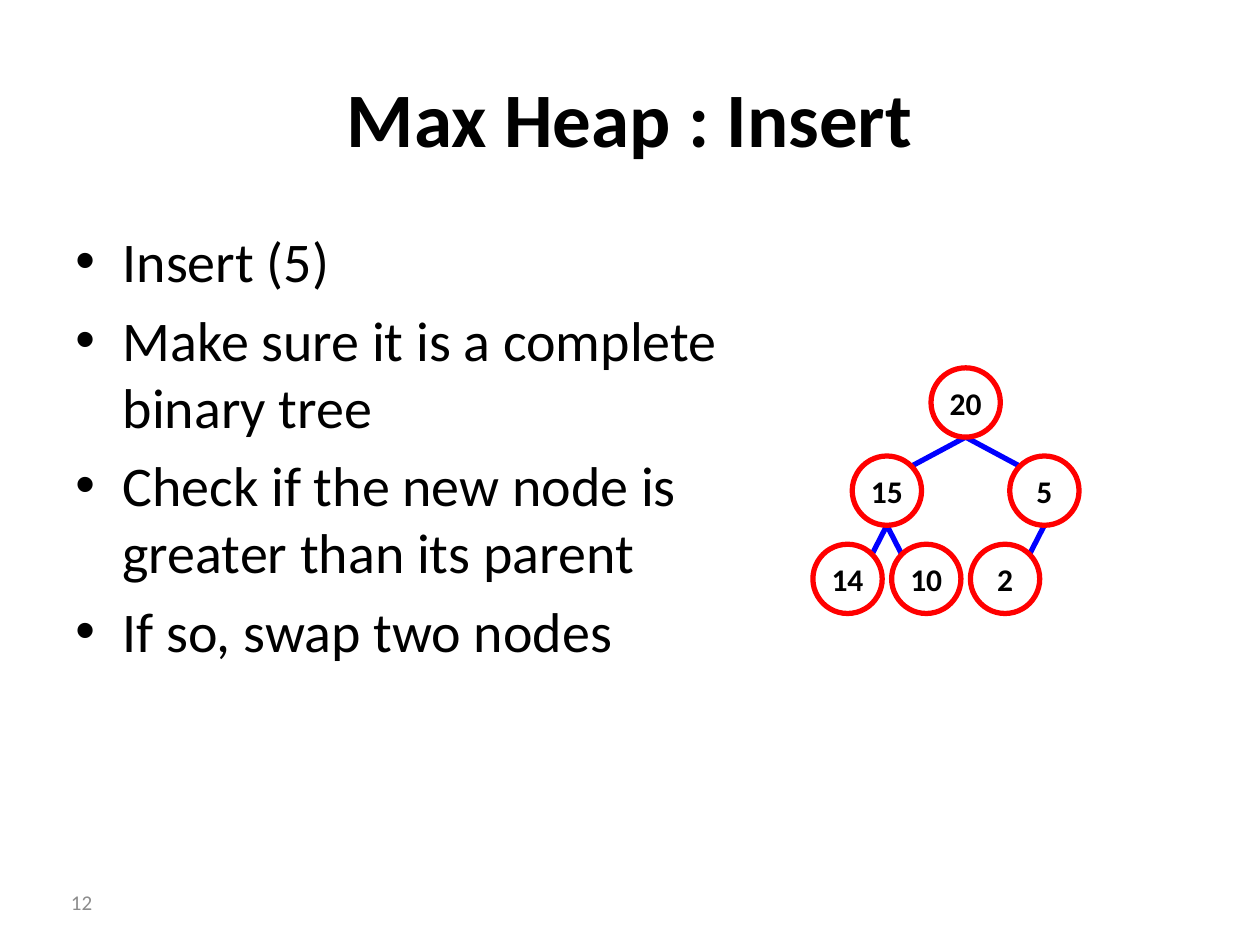
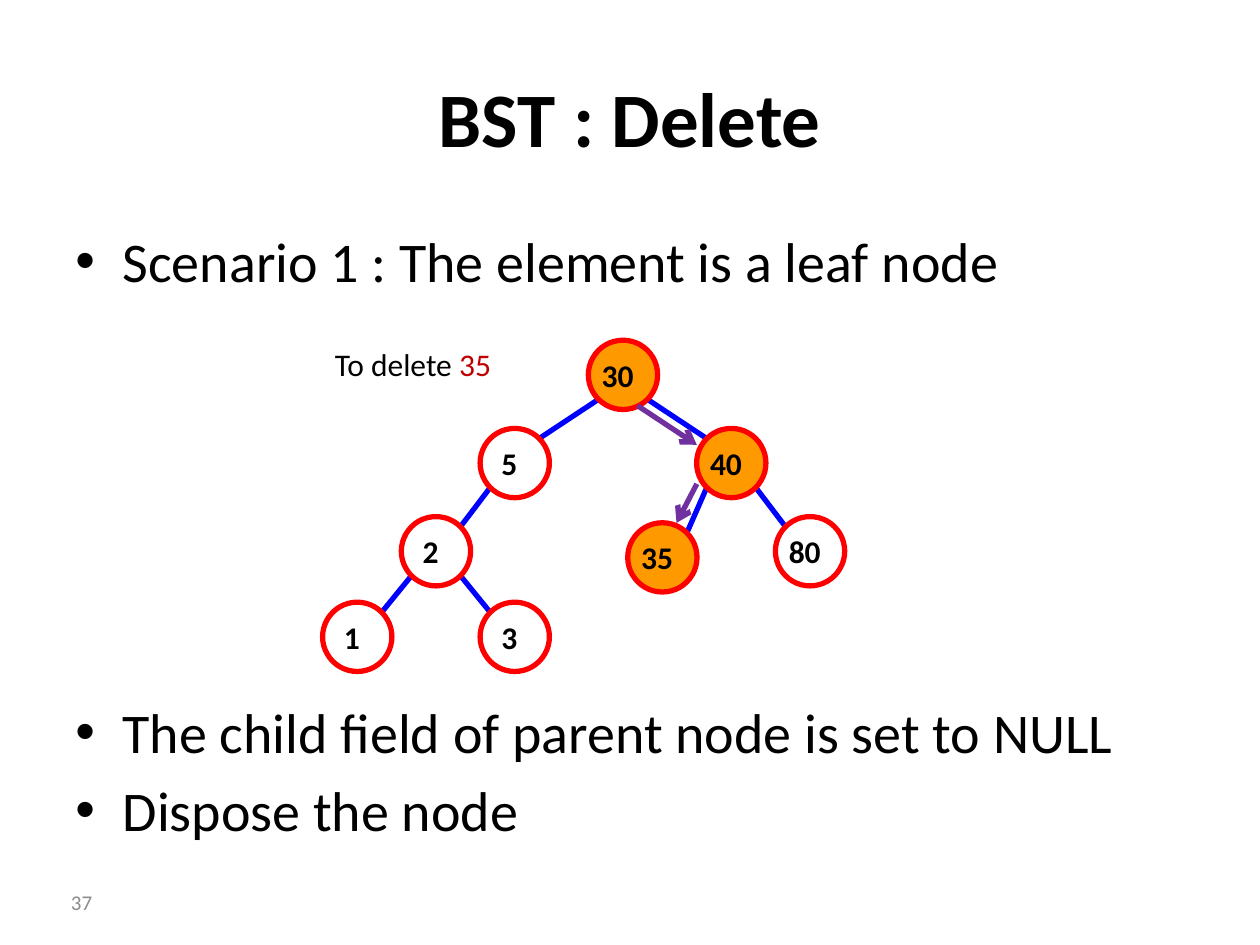
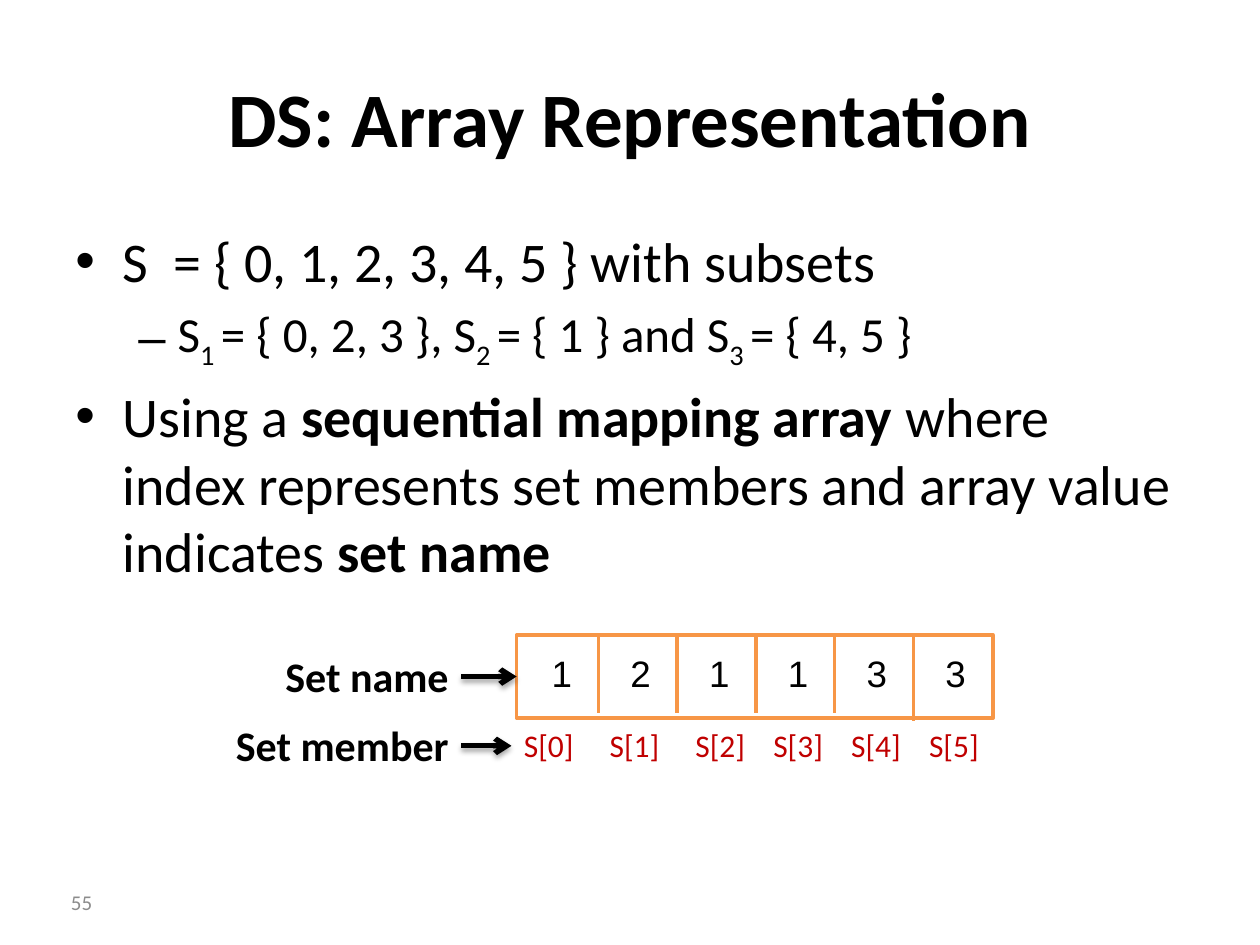
from lxml import etree
from pptx import Presentation
from pptx.dml.color import RGBColor
from pptx.enum import shapes, text
from pptx.oxml import ns
from pptx.util import Pt

BLACK = RGBColor(0x00, 0x00, 0x00)
WHITE = RGBColor(0xFF, 0xFF, 0xFF)
GREY = RGBColor(0x8C, 0x8C, 0x8C)
BLUE = RGBColor(0x00, 0x00, 0xFF)
RED = RGBColor(0xFF, 0x00, 0x00)
DARK_RED = RGBColor(0xC0, 0x00, 0x00)
PURPLE = RGBColor(0x70, 0x30, 0xA0)
VISITED = RGBColor(0xFF, 0x99, 0x00)
ORANGE = RGBColor(0xF7, 0x96, 0x46)

LEFT, CENTER, RIGHT = text.PP_ALIGN.LEFT, text.PP_ALIGN.CENTER, text.PP_ALIGN.RIGHT
TOP, MIDDLE = text.MSO_ANCHOR.TOP, text.MSO_ANCHOR.MIDDLE

BASE = {"name": "Calibri", "bold": False, "color": BLACK}
TITLE = {**BASE, "size": 44, "bold": True}
PAGE = {**BASE, "size": 12, "color": GREY}
NODE = {**BASE, "size": 18, "bold": True}
NOTE = {**BASE, "size": 18}
INDEX = {**NOTE, "color": DARK_RED}
ROW_NAME = {**BASE, "size": 24, "bold": True}
VALUE = {**BASE, "name": "Arial", "size": 21}
BULLETS = [
    {"style": {**BASE, "size": 32}, "mark": "•", "margin": 27, "hang": 27, "before": 6.4},
    {"style": {**BASE, "size": 28}, "mark": "–", "margin": 58.5, "hang": 22.5, "before": 5.6},
]
BOLD = {"bold": True}
SUB = {"baseline": "-25000"}
INSETS = (7.2, 3.6, 7.2, 3.6)

TITLE_BOX = (36, 21.6, 648, 90)
PAGE_BOX = (0, 501, 59.8, 29)
BODY_BOX = (36, 126, 648, 356)

NODE_SIZE = 39.6
DIAGONAL = NODE_SIZE / 2 * 0.707
COLUMN, ROW = 22.5, 50.4

HEAP = {
    "title": "Max Heap : Insert",
    "page": "12",
    "bodies": [((36, 126, 386.6, 356), [
        (0, ["Insert (5)"]),
        (0, ["Make sure it is a complete binary tree"]),
        (0, ["Check if the new node is greater than its parent"]),
        (0, ["If so, swap two nodes"]),
    ])],
}
HEAP_TREE = {
    "root": (551.8, 230),
    "label_shift": 0,
    "from_bottom": True,
    "visited": [],
    "nodes": {
        "20": (0, 0, None),
        "15": (-2, 1, "20"),
        "5": (2, 1, "20"),
        "14": (-3, 2, "15"),
        "10": (-1, 2, "15"),
        "2": (1, 2, "5"),
    },
}

DELETE = {
    "title": "BST : Delete",
    "page": "37",
    "bodies": [
        ((36, 126, 648, 50), [(0, ["Scenario 1 : The element is a leaf node"])]),
        ((36, 395, 648, 113), [
            (0, ["The child field of parent node is set to NULL"]),
            (0, ["Dispose the node"]),
        ]),
    ],
}
SEARCH_TREE = {
    "root": (356, 214.2),
    "label_shift": 3,
    "from_bottom": False,
    "visited": ["30", "40", "35"],
    "nodes": {
        "30": (0, 0, None),
        "5": (-2.75, 1, "30"),
        "40": (2.75, 1, "30"),
        "2": (-4.75, 2, "5"),
        "35": (1, 2.07, "40"),
        "80": (4.75, 2, "40"),
        "1": (-6.75, 2.97, "2"),
        "3": (-2.75, 2.97, "2"),
    },
}
SEARCH_STEPS = [
    ((364.3, 231.8), (398.2, 254.2)),
    ((398.2, 276.5), (386.6, 298.8)),
]
DELETE_NOTE = ["To delete ", ("35", {"color": DARK_RED})]

ARRAY = {
    "title": "DS: Array Representation",
    "page": "55",
    "bodies": [(BODY_BOX, [
        (0, ["S  = { 0, 1, 2, 3, 4, 5 } with subsets"]),
        (1, ["S", ("1 ", SUB), "= { 0, 2, 3 }, S", ("2 ", SUB),
             "= { 1 } and S", ("3 ", SUB), "= { 4, 5 }"]),
        (0, ["Using a ", ("sequential mapping array", BOLD),
             " where index represents set members and array value indicates ",
             ("set name", BOLD)]),
    ])],
}
SET_NAMES = ["1", "2", "1", "1", "3", "3"]
MEMBER_TABS = [49, 98, 142.5, 187, 231.5]
ROW_NAMES = [("Set name", 360.7, 295.2), ("Set member", 400.3, 292.3)]
CELLS = (295.2, 362.9, 272.2, 47.5)
CELL_WIDTH = 45


def points(values):
    return [Pt(value) for value in values]


def child(parent, tag, **attributes):
    return etree.SubElement(parent, ns.qn(tag), attributes)


def write_runs(paragraph, runs, style):
    for item in runs:
        words, changes = item if isinstance(item, tuple) else (item, {})
        look = {**style, **changes}
        run = paragraph.add_run()
        run.text = words
        for key in ("name", "bold"):
            setattr(run.font, key, look[key])
        run.font.size = Pt(look["size"])
        run.font.color.rgb = look["color"]
        if "baseline" in look:
            run._r.get_or_add_rPr().set("baseline", look["baseline"])


def set_frame(frame, anchor=TOP, insets=INSETS, wrap=True):
    sides = ("margin_left", "margin_top", "margin_right", "margin_bottom")
    layout = {"word_wrap": wrap, "vertical_anchor": anchor, **dict(zip(sides, points(insets)))}
    for key, value in layout.items():
        setattr(frame, key, value)
    return frame.paragraphs[0]


def add_text(slide, box, runs, style, align=LEFT, **layout):
    label = slide.shapes.add_textbox(*points(box))
    paragraph = set_frame(label.text_frame, **layout)
    paragraph.alignment = align
    write_runs(paragraph, runs, style)
    return paragraph


def add_bullets(slide, box, items):
    frame = slide.shapes.add_textbox(*points(box)).text_frame
    paragraph = set_frame(frame)
    for number, (level, runs) in enumerate(items):
        bullet = BULLETS[level]
        if number:
            paragraph = frame.add_paragraph()
        properties = paragraph._p.get_or_add_pPr()
        properties.set("marL", str(Pt(bullet["margin"])))
        properties.set("indent", str(-Pt(bullet["hang"])))
        child(properties, "a:buFont", typeface="Arial")
        child(properties, "a:buChar", char=bullet["mark"])
        paragraph.level = level
        if number:
            paragraph.space_before = Pt(bullet["before"])
        write_runs(paragraph, runs, bullet["style"])


def add_line(slide, start, end, color, width=3, arrow=False, shadow=False):
    line = slide.shapes.add_connector(
        shapes.MSO_CONNECTOR.STRAIGHT, *points((*start, *end)))
    line.line.color.rgb = color
    line.line.width = Pt(width)
    if arrow:
        child(line.line._get_or_add_ln(), "a:tailEnd", type="arrow")
    effects = child(line._element.spPr, "a:effectLst")
    if shadow:
        cast = child(effects, "a:outerShdw", blurRad=str(Pt(3.1)), dist=str(Pt(1.8)),
                     dir="5400000", rotWithShape="0")
        child(child(cast, "a:srgbClr", val=str(BLACK)), "a:alpha", val="35000")


def add_outline(slide, kind, box, color, width, fill=None):
    outline = slide.shapes.add_shape(kind, *points(box))
    outline.shadow.inherit = False
    outline.line.color.rgb = color
    outline.line.width = Pt(width)
    if fill is None:
        outline.fill.background()
    else:
        outline.fill.solid()
        outline.fill.fore_color.rgb = fill
    return outline


def add_tree(slide, tree):
    root_x, root_y = tree["root"]
    centers = {name: (root_x + column * COLUMN, root_y + row * ROW)
               for name, (column, row, _) in tree["nodes"].items()}
    for name, (_, _, parent) in tree["nodes"].items():
        if parent is None:
            continue
        (x, y), (parent_x, parent_y) = centers[name], centers[parent]
        toward = DIAGONAL if x < parent_x else -DIAGONAL
        if tree["from_bottom"]:
            start = (parent_x, parent_y + NODE_SIZE / 2)
        else:
            start = (parent_x - toward, parent_y + DIAGONAL)
        add_line(slide, (x + toward, y - DIAGONAL), start, BLUE)
    for name, (x, y) in centers.items():
        box = (x - NODE_SIZE / 2, y - NODE_SIZE / 2, NODE_SIZE, NODE_SIZE)
        fill = VISITED if name in tree["visited"] else None
        node = add_outline(slide, shapes.MSO_SHAPE.OVAL, box, RED, 3, fill)
        paragraph = set_frame(node.text_frame, MIDDLE,
                              (0, 0, 2 * tree["label_shift"], 0), wrap=False)
        paragraph.alignment = CENTER
        write_runs(paragraph, [name], NODE)


def add_array(slide):
    left, top, width, height = CELLS
    add_outline(slide, shapes.MSO_SHAPE.RECTANGLE, CELLS, ORANGE, 2, WHITE)
    last = len(SET_NAMES) - 1
    for position, name in enumerate(SET_NAMES):
        if position:
            x = 297 + position * CELL_WIDTH
            bottom = 411.8 if position == last else 407.5
            add_line(slide, (x, top), (x, bottom), ORANGE, 2)
        add_text(slide, (308.2 + position * CELL_WIDTH, 368.6, 28, 32), [name], VALUE)
    members = "\t".join(f"S[{position}]" for position in range(len(SET_NAMES)))
    paragraph = add_text(slide, (292.3, 411.1, 282, 29), [members], INDEX)
    stops = child(paragraph._p.get_or_add_pPr(), "a:tabLst")
    for stop in MEMBER_TABS:
        child(stops, "a:tab", pos=str(Pt(stop)), algn="l")
    for name, y, arrow_end in ROW_NAMES:
        add_text(slide, (116, y, 147.5, 51), [name], ROW_NAME, RIGHT,
                 insets=(7.2, 10.8, 7.2, 10.8))
        add_line(slide, (263.5, y + 25.9), (arrow_end, y + 25.9), BLACK,
                 arrow=True, shadow=True)


def add_page(deck, content):
    slide = deck.slides.add_slide(deck.slide_layouts[6])
    add_text(slide, TITLE_BOX, [content["title"]], TITLE, CENTER, anchor=MIDDLE)
    for box, items in content["bodies"]:
        add_bullets(slide, box, items)
    add_text(slide, PAGE_BOX, [content["page"]], PAGE, RIGHT, anchor=MIDDLE)
    return slide


def main():
    deck = Presentation()
    deck.slide_width, deck.slide_height = Pt(720), Pt(540)

    add_tree(add_page(deck, HEAP), HEAP_TREE)

    delete = add_page(deck, DELETE)
    add_tree(delete, SEARCH_TREE)
    for start, end in SEARCH_STEPS:
        add_line(delete, start, end, PURPLE, arrow=True)
    add_text(delete, (184.3, 193.7, 105, 29), DELETE_NOTE, NOTE, wrap=False)

    add_array(add_page(deck, ARRAY))
    deck.save("out.pptx")


if __name__ == "__main__":
    main()
